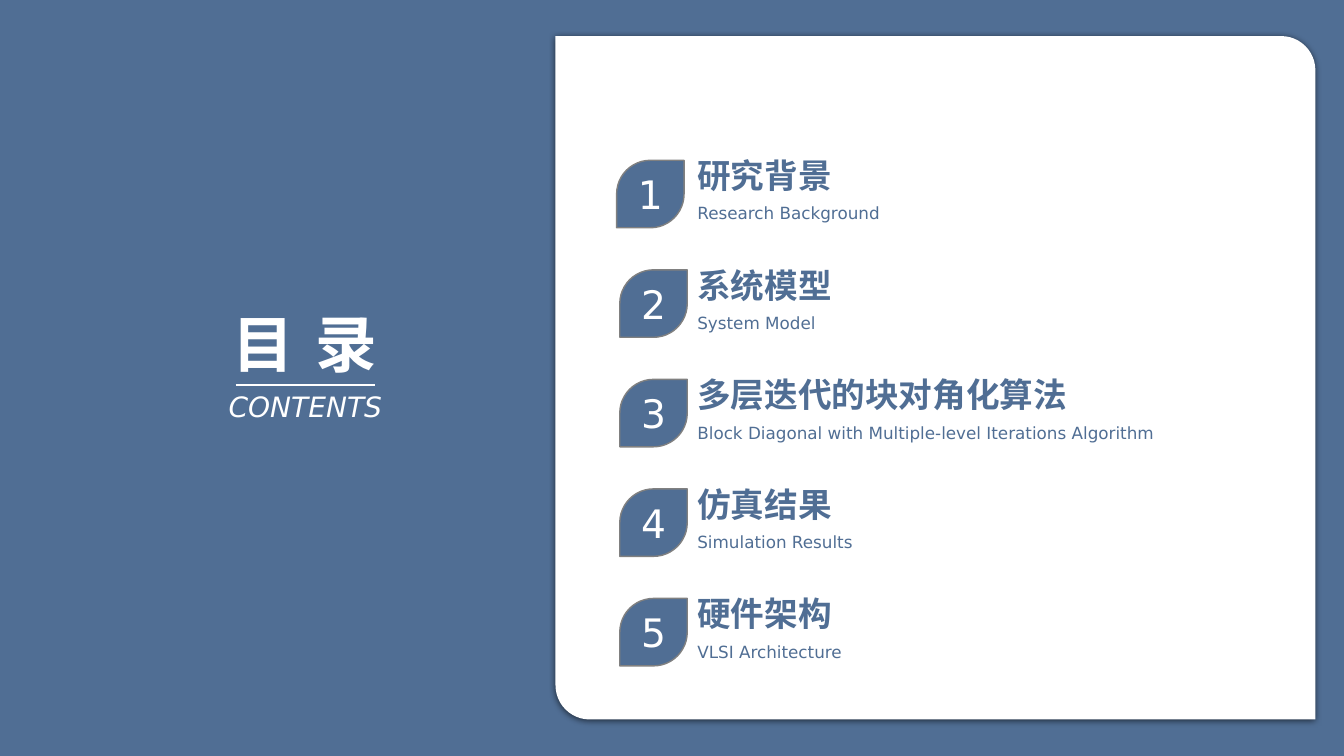
from lxml import etree
from pptx import Presentation
from pptx.dml.color import RGBColor
from pptx.enum.shapes import MSO_CONNECTOR, MSO_SHAPE
from pptx.enum.text import MSO_ANCHOR, MSO_AUTO_SIZE, PP_ALIGN
from pptx.oxml.ns import qn
from pptx.util import Cm, Pt

LEAF = MSO_SHAPE.ROUND_2_DIAG_RECTANGLE
STRAIGHT = MSO_CONNECTOR.STRAIGHT
TOP, MIDDLE = MSO_ANCHOR.TOP, MSO_ANCHOR.MIDDLE
LEFT, CENTER = PP_ALIGN.LEFT, PP_ALIGN.CENTER
NO_FIT = MSO_AUTO_SIZE.NONE

FONT = "DejaVu Sans"
COLOURS = {"blue": "506E94", "white": "FFFFFF", "grey": "808080", "shadow": "000000"}
SECTIONS = [
    ("研究背景", "Research Background"),
    ("系统模型", "System Model"),
    ("多层迭代的块对角化算法", "Block Diagonal with Multiple-level Iterations Algorithm"),
    ("仿真结果", "Simulation Results"),
    ("硬件架构", "VLSI Architecture"),
]
HEADING = {"size": Pt(24), "bold": True}
SUBTITLE = {"size": Pt(12), "bold": False}
HEADING_LINES = {"line_spacing": Pt(32), "space_before": Pt(0), "space_after": Pt(0)}
SUBTITLE_LINES = {"line_spacing": Pt(20), "space_before": Pt(0), "space_after": Pt(26.3)}
BADGE_SIZE, BADGE_TOP, BADGE_PITCH = 1.7, 4.04, 2.76


def colour(name):
    return RGBColor.from_string(COLOURS[name])


def apply(target, values):
    for name, value in values.items():
        setattr(target, name, value)


def place(shape, left, top, width, height):
    apply(shape, {"left": Cm(left), "top": Cm(top), "width": Cm(width), "height": Cm(height)})


def paint(shape, fill):
    shape.shadow.inherit = False
    shape.fill.solid()
    shape.fill.fore_color.rgb = colour(fill)


def write(para, text, ink, font, align=LEFT):
    para.alignment = align
    span = para.add_run()
    span.text = text
    apply(span.font, {"name": FONT, **font})
    span.font.color.rgb = colour(ink)
    etree.SubElement(span.font._element, qn("a:ea"), typeface=FONT)


def set_frame(shape, anchor):
    frame = shape.text_frame
    apply(frame, {"word_wrap": True, "auto_size": NO_FIT, "vertical_anchor": anchor})
    return frame


def add_panel(page):
    panel = page.shapes.add_shape(LEAF, Cm(14), Cm(0.91), Cm(19.15), Cm(17.22))
    panel.adjustments[0], panel.adjustments[1] = 0, 0.05
    paint(panel, "white")
    panel.line.fill.background()
    effects = panel._element.spPr.find(qn("a:effectLst"))
    shadow = etree.SubElement(effects, qn("a:outerShdw"), blurRad=str(Pt(4.5)),
                              dist=str(Pt(1.5)), dir="5400000", algn="t", rotWithShape="0")
    ink = etree.SubElement(shadow, qn("a:srgbClr"), val=COLOURS["shadow"])
    etree.SubElement(ink, qn("a:alpha"), val="63000")
    page.shapes._spTree.remove(panel._element)
    page.shapes._spTree.insert(2, panel._element)


def add_rule(page):
    rule = page.shapes.add_connector(STRAIGHT, Cm(5.94), Cm(9.7), Cm(9.45), Cm(9.7))
    rule.line.color.rgb = colour("white")
    rule.line.width = Pt(1.5)
    etree.SubElement(rule._element.spPr, qn("a:effectLst"))


def add_heading(page):
    title = page.shapes.title
    place(title, 4.37, 7.57, 6.65, 2.13)
    write(set_frame(title, TOP).paragraphs[0], "目 录", "white",
          {"size": Pt(44), "bold": True}, CENTER)
    box = page.shapes.add_textbox(Cm(4.37), Cm(9.7), Cm(6.65), Cm(1.12))
    write(set_frame(box, TOP).paragraphs[0], "CONTENTS", "white",
          {"size": Pt(20), "italic": True}, CENTER)


def add_sections(page):
    body = page.placeholders[1]
    place(body, 17.32, 3.66, 14.38, 13.21)
    frame = set_frame(body, TOP)
    lines = [line for heading, subtitle in SECTIONS
             for line in ((heading, HEADING, HEADING_LINES),
                          (subtitle, SUBTITLE, SUBTITLE_LINES))]
    for index, (text, font, spacing) in enumerate(lines):
        para = frame.add_paragraph() if index else frame.paragraphs[0]
        write(para, text, "blue", font)
        apply(para, spacing)
        properties = para._p.get_or_add_pPr()
        properties.set("marL", "0")
        properties.set("indent", "0")
        etree.SubElement(properties, qn("a:buNone"))


def add_badge(page, number):
    left = 15.54 if number == 1 else 15.62
    top = BADGE_TOP + (number - 1) * BADGE_PITCH
    badge = page.shapes.add_shape(LEAF, Cm(left), Cm(top), Cm(BADGE_SIZE), Cm(BADGE_SIZE))
    badge.adjustments[0] = 0.5
    paint(badge, "blue")
    badge.line.color.rgb = colour("grey")
    badge.line.width = Pt(1)
    write(set_frame(badge, MIDDLE).paragraphs[0], str(number), "white",
          {"size": Pt(28)}, CENTER)


def main():
    deck = Presentation()
    apply(deck, {"slide_width": Cm(33.87), "slide_height": Cm(19.05)})
    page = deck.slides.add_slide(deck.slide_layouts[1])
    page.background.fill.solid()
    page.background.fill.fore_color.rgb = colour("blue")
    add_panel(page)
    add_heading(page)
    add_rule(page)
    add_sections(page)
    for number in range(1, len(SECTIONS) + 1):
        add_badge(page, number)
    deck.save("out.pptx")


if __name__ == "__main__":
    main()
